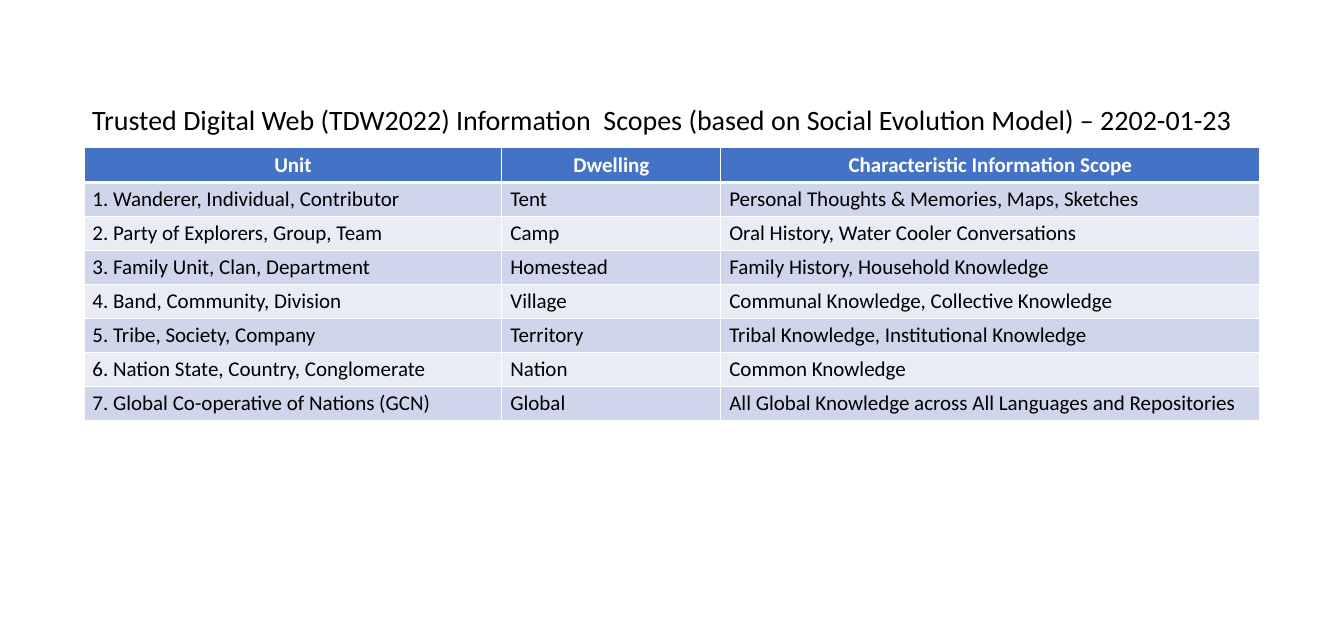
import pptx
import pptx.util
import pptx.dml.color
import pptx.enum.text
import pptx.oxml
import pptx.oxml.ns

PX = 914400 // 84  # one px in EMU

THEME = {
    "font": "Calibri", "title_pt": 24, "cell_pt": 18,
    "text": "000000", "header_text": "FFFFFF", "border": "FFFFFF",
    "header_fill": "4472C4", "bands": ("CFD5EA", "E9EBF5"),
    "line_pt": 1, "header_line_pt": 3,
}

HEADER = ("Unit", "Dwelling", "Characteristic Information Scope")
SCOPES = [
    ("1. Wanderer, Individual, Contributor", "Tent", "Personal Thoughts & Memories, Maps, Sketches"),
    ("2. Party of Explorers, Group, Team", "Camp", "Oral History, Water Cooler Conversations"),
    ("3. Family Unit, Clan, Department", "Homestead", "Family History, Household Knowledge"),
    ("4. Band, Community, Division", "Village", "Communal Knowledge, Collective Knowledge"),
    ("5. Tribe, Society, Company", "Territory", "Tribal Knowledge, Institutional Knowledge"),
    ("6. Nation State, Country, Conglomerate", "Nation", "Common Knowledge"),
    ("7. Global Co-operative of Nations (GCN)", "Global",
     "All Global Knowledge across All Languages and Repositories"),
]
LEFT, TABLE_TOP, ROW_H = 84, 148, 34
COL_WIDTHS = (418, 219, 539)
WIDTH = sum(COL_WIDTHS)


def add_run(p, text, size, color, bold=False):
    r = p.add_run()
    r.text = text
    r.font.name = THEME["font"]
    r.font.size = pptx.util.Pt(size)
    r.font.bold = bold
    r.font.color.rgb = pptx.dml.color.RGBColor.from_string(color)


def add_borders(cell, top_pt, bottom_pt):
    tc_pr = cell._tc.get_or_add_tcPr()
    side_pt = THEME["line_pt"]
    for side, pt in (("L", side_pt), ("R", side_pt), ("T", top_pt), ("B", bottom_pt)):
        tc_pr.append(pptx.oxml.parse_xml(
            f'<a:ln{side} {pptx.oxml.ns.nsdecls("a")} w="{pptx.util.Pt(pt)}">'
            f'<a:solidFill><a:srgbClr val="{THEME["border"]}"/></a:solidFill></a:ln{side}>'))


prs = pptx.Presentation()
prs.slide_width = pptx.util.Inches(16)
prs.slide_height = pptx.util.Inches(7.5)
s = prs.slides.add_slide(prs.slide_layouts[6])

# Table of scopes
rows = [HEADER] + SCOPES
table = s.shapes.add_table(len(rows), len(HEADER), LEFT * PX, TABLE_TOP * PX,
                           WIDTH * PX, len(rows) * ROW_H * PX).table
for column, width in zip(table.columns, COL_WIDTHS):
    column.width = width * PX

for i, row in enumerate(rows):
    table.rows[i].height = ROW_H * PX
    is_header = i == 0
    fill = THEME["header_fill"] if is_header else THEME["bands"][(i - 1) % 2]
    color = THEME["header_text"] if is_header else THEME["text"]
    top_pt = THEME["header_line_pt"] if i == 1 else THEME["line_pt"]
    bottom_pt = THEME["header_line_pt"] if is_header else THEME["line_pt"]
    for j, text in enumerate(row):
        cell = table.cell(i, j)
        add_borders(cell, top_pt, bottom_pt)
        cell.fill.solid()
        cell.fill.fore_color.rgb = pptx.dml.color.RGBColor.from_string(fill)
        p = cell.text_frame.paragraphs[0]
        if is_header:
            p.alignment = pptx.enum.text.PP_ALIGN.CENTER
        add_run(p, text, THEME["cell_pt"], color, is_header)

# Title above the table
sp = s.shapes.add_textbox(LEFT * PX, 89 * PX, WIDTH * PX, 60 * PX)
tf = sp.text_frame
tf.word_wrap = True
tf.vertical_anchor = pptx.enum.text.MSO_ANCHOR.MIDDLE
add_run(tf.paragraphs[0],
        "Trusted Digital Web (TDW2022) Information  Scopes "
        "(based on Social Evolution Model) – 2202-01-23",
        THEME["title_pt"], THEME["text"])

prs.save("out.pptx")
